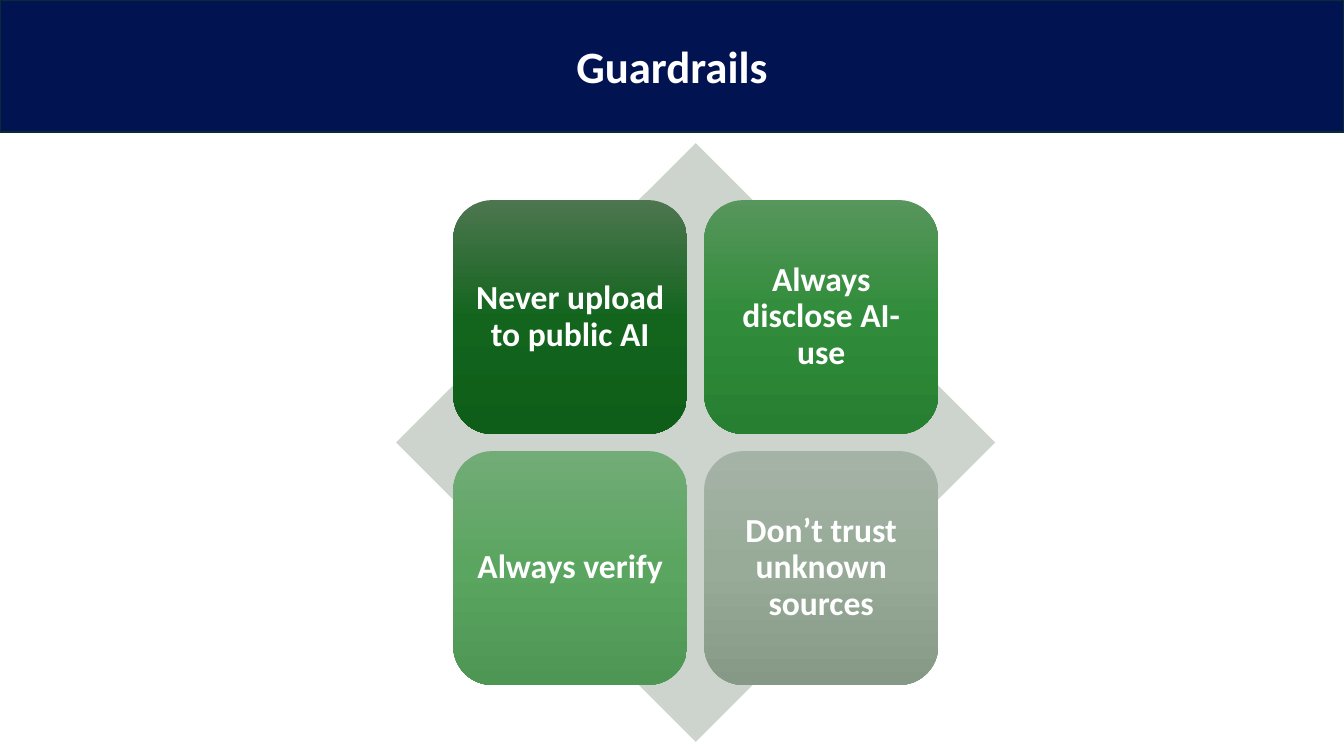
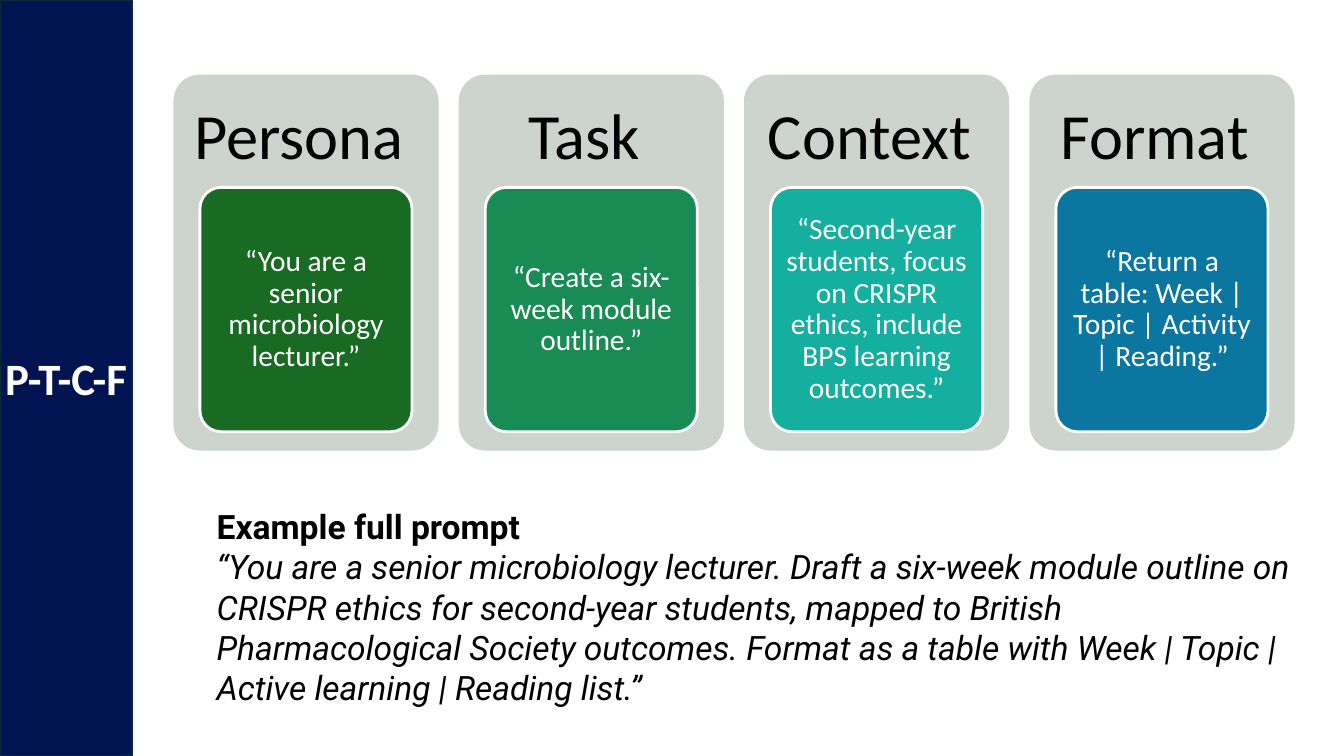
from copy import deepcopy

from pptx import Presentation
from pptx.dml.color import RGBColor
from pptx.enum.shapes import MSO_SHAPE
from pptx.enum.text import MSO_ANCHOR, MSO_AUTO_SIZE, PP_ALIGN
from pptx.util import Inches, Pt

WIDE, HIGH, BAND = 13.33, 7.5, 1.31
FONT = "Calibri"
HUES = {
    "navy": "011451",
    "edge": "092A39",
    "pale": "CCD4CD",
    "white": "FFFFFF",
    "black": "000000",
    "forest": "196B24",
    "green": "188C54",
    "teal": "15AF9F",
    "blue": "0B76A0",
}
RULES = [
    ("Never upload to public AI", ("4D764F", "13651E", "0E5D18")),
    ("Always disclose AI-use", ("57965C", "308C3A", "278031")),
    ("Always verify", ("72AC77", "5AA560", "4D9653")),
    ("Don’t trust unknown sources", ("A4B3A5", "98AB99", "869987")),
]
PARTS = [
    ("Persona ", "“You are a senior microbiology lecturer.”", "forest"),
    ("Task ", "“Create a six-week module outline.”", "green"),
    ("Context ", "“Second-year students, focus on CRISPR ethics, "
     "include BPS learning outcomes.”", "teal"),
    ("Format ", "“Return a table: Week | Topic | Activity | Reading.”", "blue"),
]
PROMPT = (
    "“You are a senior microbiology lecturer. Draft a six-week module outline "
    "on CRISPR ethics for second-year students, mapped to British "
    "Pharmacological Society outcomes. Format as a table with Week | Topic | "
    "Active learning | Reading list.”"
)


def paint(shape, fill, line=None, width=1):
    shape.fill.solid()
    shape.fill.fore_color.rgb = RGBColor.from_string(HUES[fill])
    edge(shape, line, width)


def edge(shape, line=None, width=1):
    if line:
        shape.line.color.rgb = RGBColor.from_string(HUES[line])
        shape.line.width = Pt(width)
    else:
        shape.line.fill.background()


def shade(shape, stops):
    """Fill from top to bottom with three evenly spaced colours."""
    shape.fill.gradient()
    shape.fill.gradient_angle = 270
    first = shape.fill.gradient_stops
    node = shape.element.spPr.find(".//{*}gsLst")
    node.insert(1, deepcopy(node[0]))
    first = shape.fill.gradient_stops
    for place, (stop, hue) in enumerate(zip(first, stops)):
        stop.position = place / 2
        stop.color.rgb = RGBColor.from_string(hue)


def form(slide, kind, box, round_by=None):
    shape = slide.shapes.add_shape(kind, *map(Inches, box))
    shape.shadow.inherit = False
    if round_by is not None:
        shape.adjustments[0] = round_by
    return shape


def write(shape, text, size=24, hue="white", font=FONT, bold=False,
          slant=False, align=PP_ALIGN.CENTER, anchor=MSO_ANCHOR.MIDDLE,
          space=None, pads=(0.1, 0.05, 0.1, 0.05), more=False):
    """Set the text of a shape, or add a paragraph to it when more is true."""
    frame = shape.text_frame
    frame.word_wrap = True
    frame.auto_size = MSO_AUTO_SIZE.NONE
    frame.vertical_anchor = anchor
    (frame.margin_left, frame.margin_top,
     frame.margin_right, frame.margin_bottom) = map(Inches, pads)
    para = frame.add_paragraph() if more else frame.paragraphs[0]
    para.alignment = align
    para.line_spacing = space
    run = para.add_run()
    run.text = text
    run.font.name = font
    run.font.size = Pt(size)
    run.font.bold = bold
    run.font.italic = slant
    run.font.color.rgb = RGBColor.from_string(HUES[hue])


def start(deck, title, box, turn=False):
    """Add a slide whose title fills a navy band."""
    slide = deck.slides.add_slide(deck.slide_layouts[5])
    band = slide.shapes.title
    band.left, band.top, band.width, band.height = map(Inches, box)
    paint(band, "navy", "edge", 1.5)
    write(band, title, size=32, bold=True)
    if turn:
        band.text_frame._txBody.bodyPr.set("vert", "vert270")
    return slide


def matrix(slide, left, top, side):
    """Draw a diamond with four tiles centred on it."""
    paint(form(slide, MSO_SHAPE.DIAMOND, (left, top, side, side)), "pale")
    tile, step = 2.32, 2.49
    inset = (side - step - tile) / 2
    for i, (text, stops) in enumerate(RULES):
        row, col = divmod(i, 2)
        box = (left + inset + col * step, top + inset + row * step, tile, tile)
        shape = form(slide, MSO_SHAPE.ROUNDED_RECTANGLE, box)
        shade(shape, stops)
        edge(shape)
        write(shape, text, bold=True, space=0.9, pads=(0.1,) * 4)


def card(slide, box, head, text, hue):
    left, top, wide, high = box
    panel = form(slide, MSO_SHAPE.ROUNDED_RECTANGLE, box, 0.1)
    paint(panel, "pale")
    write(panel, head, size=46, hue="black", space=0.9,
          pads=(0.11, 0.1, 0.11, 0.7 * high - 0.05))
    inner = (left + 0.1 * wide, top + 0.3 * high, 0.8 * wide, 0.65 * high)
    shape = form(slide, MSO_SHAPE.ROUNDED_RECTANGLE, inner, 0.1)
    paint(shape, hue, "white", 2)
    write(shape, text, size=21, space=0.9, pads=(0.06, 0.04, 0.06, 0.04))


def cards(slide, left, top, wide, high, gap=0.2):
    each = (wide - gap * (len(PARTS) - 1)) / len(PARTS)
    for i, part in enumerate(PARTS):
        card(slide, (left + i * (each + gap), top, each, high), *part)


def sample(slide, *box):
    note = slide.shapes.add_textbox(*map(Inches, box))
    look = dict(hue="black", font="Roboto", align=PP_ALIGN.LEFT,
                anchor=MSO_ANCHOR.TOP)
    write(note, "Example full prompt", bold=True, **look)
    write(note, PROMPT, slant=True, more=True, **look)


def main():
    deck = Presentation()
    deck.slide_width, deck.slide_height = Inches(WIDE), Inches(HIGH)

    rails = start(deck, "Guardrails", (0, 0, WIDE, BAND))
    matrix(rails, 3.93, 1.42, 5.94)

    frame = start(deck, "P-T-C-F", (0, 0, BAND, HIGH), turn=True)
    cards(frame, 1.72, 0.74, 11.12, 3.73)
    sample(frame, 2.05, 4.97, 11.01, 2.12)

    deck.save("out.pptx")


if __name__ == "__main__":
    main()
